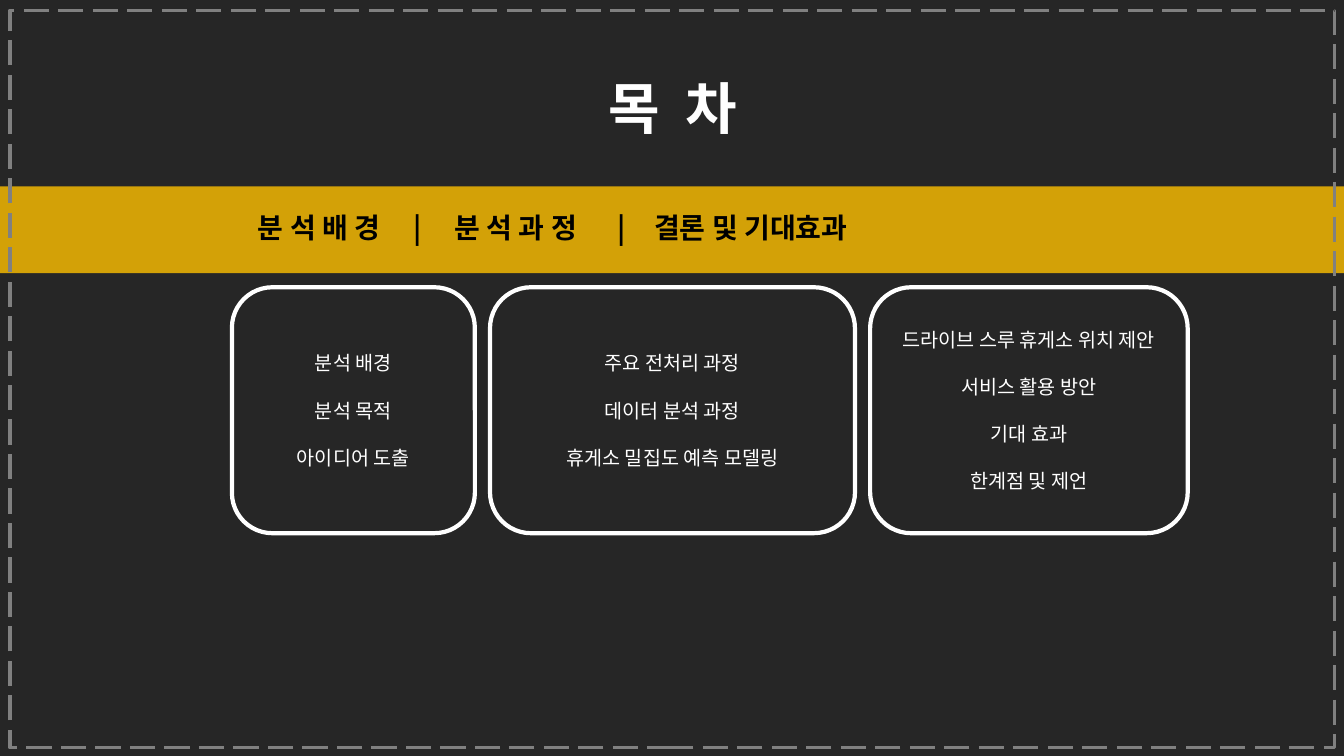
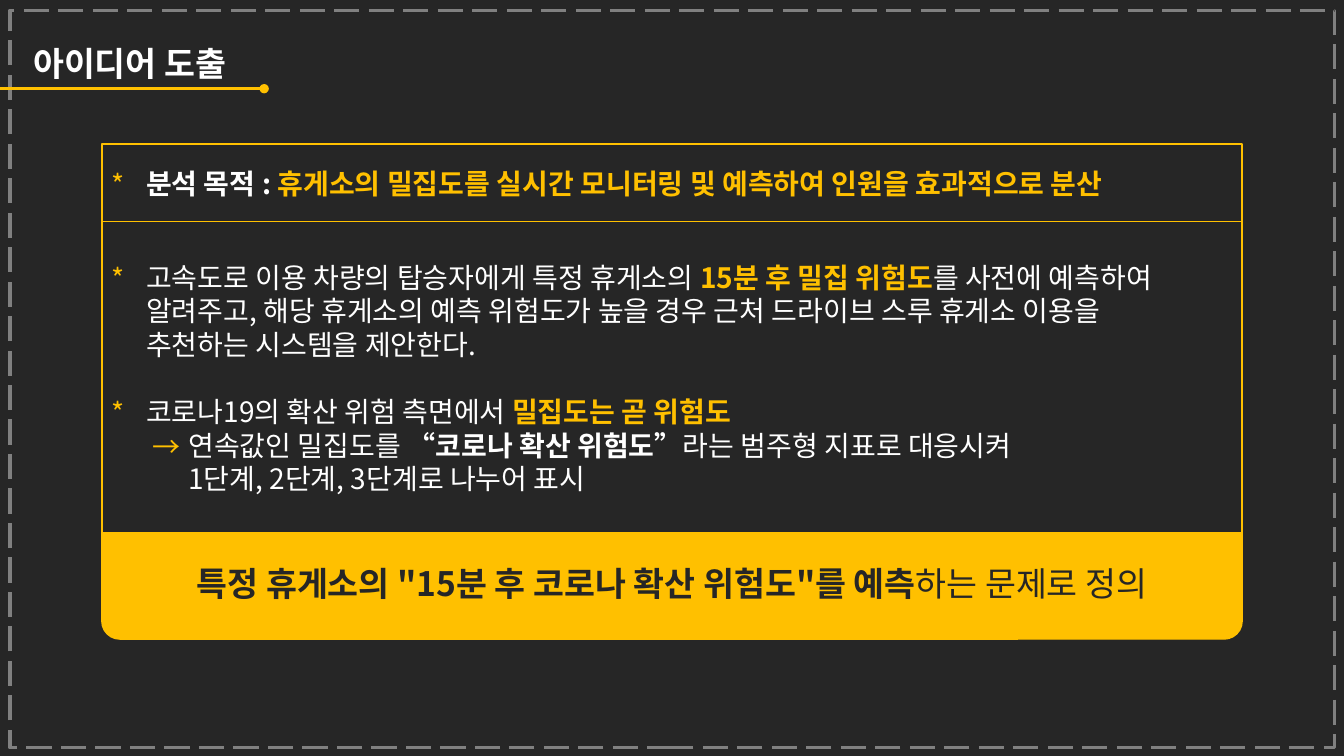
from lxml import etree
from pptx import Presentation
from pptx.dml.color import RGBColor
from pptx.enum.dml import MSO_LINE
from pptx.enum.shapes import MSO_CONNECTOR, MSO_SHAPE
from pptx.enum.text import MSO_ANCHOR, PP_ALIGN
from pptx.oxml.ns import qn
from pptx.util import Inches, Pt

RECTANGLE = MSO_SHAPE.RECTANGLE
ROUNDED = MSO_SHAPE.ROUNDED_RECTANGLE
ROUND_PAIR = MSO_SHAPE.ROUND_2_SAME_RECTANGLE
STRAIGHT = MSO_CONNECTOR.STRAIGHT
LONG_DASH = MSO_LINE.LONG_DASH
MIDDLE, TOP = MSO_ANCHOR.MIDDLE, MSO_ANCHOR.TOP
LEFT, CENTER = PP_ALIGN.LEFT, PP_ALIGN.CENTER

DARK, GOLD, WHITE, BLACK, GRAY = "262626", "FFC000", "FFFFFF", "000000", "808080"
KOREAN, LATIN = "Noto Sans CJK KR", "Calibri"


def paint(fill, color):
    fill.solid()
    fill.fore_color.rgb = RGBColor.from_string(color)


def add_run(paragraph, text, size, color, bold=False, font=KOREAN):
    run = paragraph.add_run()
    run.text = text
    run.font.size = Pt(size)
    run.font.bold = bold
    run.font.name = font
    paint(run.font.fill, color)
    properties = run._r.get_or_add_rPr()
    etree.SubElement(properties, qn("a:ea"), typeface=KOREAN)
    return properties


prs = Presentation()
prs.slide_width, prs.slide_height = Inches(13.33), Inches(7.5)
paint(prs.slide_master.background.fill, DARK)
blank = prs.slide_layouts[6]
contents = prs.slides.add_slide(blank)
idea = prs.slides.add_slide(blank)

band = contents.shapes.add_shape(RECTANGLE, 0, Inches(1.85), Inches(13.33), Inches(0.86))
band.shadow.inherit = False
band.line.fill.background()
paint(band.fill, GOLD)
band_color = band.fill._xPr.find(qn("a:solidFill"))[0]
etree.SubElement(band_color, qn("a:alpha"), val="80000")

for slide in (contents, idea):
    border = slide.shapes.add_shape(RECTANGLE, Inches(0.1), Inches(0.1), Inches(13.14), Inches(7.32))
    border.shadow.inherit = False
    border.fill.background()
    paint(border.line.fill, GRAY)
    border.line.width = Pt(2.25)
    border.line.dash_style = LONG_DASH

headings = []
for slide, left, top, width, align in (
    (contents, 5.61, 0.68, 2.12, CENTER),
    (contents, 2.46, 1.85, 9.12, LEFT),
    (idea, 0.23, 0.22, 3.21, LEFT),
):
    frame = slide.shapes.add_textbox(Inches(left), Inches(top), Inches(width), Inches(0.86)).text_frame
    frame.word_wrap = True
    frame.vertical_anchor = MIDDLE
    heading = frame.paragraphs[0]
    heading.alignment = align
    heading.line_spacing = 0.9
    headings.append(heading)
contents_title, sections, idea_title = headings

add_run(contents_title, "목", 40, WHITE, True)
add_run(contents_title, " ", 40, WHITE, True).set("spc", "900")
add_run(contents_title, "차", 40, WHITE, True)
add_run(idea_title, "아이디어 도출", 24, WHITE, True)

tab_list = etree.SubElement(sections._p.get_or_add_pPr(), qn("a:tabLst"))
for stop in (1.54, 1.95, 3.57, 3.93):
    etree.SubElement(tab_list, qn("a:tab"), pos=str(Inches(stop)), algn="l")
add_run(sections, "분 석 배 경\t|\t분 석 과 정\t|\t결론 및 기대효과", 20, BLACK, True)

for left, width, topics in (
    (2.3, 2.41, ("분석 배경", "분석 목적", "아이디어 도출")),
    (4.86, 3.62, ("주요 전처리 과정", "데이터 분석 과정", "휴게소 밀집도 예측 모델링")),
    (8.63, 3.15, ("드라이브 스루 휴게소 위치 제안", "서비스 활용 방안", "기대 효과", "한계점 및 제언")),
):
    topic_box = contents.shapes.add_shape(ROUNDED, Inches(left), Inches(2.85), Inches(width), Inches(2.44))
    topic_box.shadow.inherit = False
    topic_box.fill.background()
    paint(topic_box.line.fill, WHITE)
    topic_box.line.width = Pt(3)
    frame = topic_box.text_frame
    frame.word_wrap = True
    frame.vertical_anchor = MIDDLE
    for index, topic in enumerate(topics):
        paragraph = frame.paragraphs[0] if index == 0 else frame.add_paragraph()
        paragraph.alignment = CENTER
        paragraph.line_spacing = Pt(16.8)
        if index:
            paragraph.space_before = Pt(16.8)
        add_run(paragraph, topic, 14, WHITE, font=LATIN)

underline = idea.shapes.add_connector(STRAIGHT, Inches(2.62), Inches(0.88), 0, Inches(0.88))
paint(underline.line.fill, GOLD)
underline.line.width = Pt(2.25)
etree.SubElement(underline.line._get_or_add_ln(), qn("a:headEnd"), type="oval")
etree.SubElement(underline._element.spPr, qn("a:effectLst"))

panels = []
for kind, top, height, fill, anchor in (
    (RECTANGLE, 2.19, 3.1, DARK, TOP),
    (ROUND_PAIR, 5.29, 1.05, GOLD, MIDDLE),
    (RECTANGLE, 1.43, 0.77, DARK, MIDDLE),
):
    panel = idea.shapes.add_shape(kind, Inches(1.01), Inches(top), Inches(11.31), Inches(height))
    panel.shadow.inherit = False
    paint(panel.fill, fill)
    paint(panel.line.fill, GOLD)
    panel.line.width = Pt(1)
    panel.text_frame.word_wrap = True
    panel.text_frame.vertical_anchor = anchor
    panels.append(panel)
proposal, conclusion, purpose = panels
proposal.text_frame.margin_top = Inches(0.39)
conclusion.adjustments[0] = 0
conclusion.adjustments[1] = 0.17

problem = conclusion.text_frame.paragraphs[0]
problem.alignment = CENTER
add_run(problem, '특정 휴게소의 "15분 후 코로나 확산 위험도"를 예측', 24, DARK, True)
add_run(problem, "하는 문제로 정의", 24, DARK)

first_point = proposal.text_frame.paragraphs[0]
second_point = proposal.text_frame.add_paragraph()
second_point.space_before = Pt(24)
sub_point = proposal.text_frame.add_paragraph()

for paragraph, bullet, margin, hang, lines in (
    (purpose.text_frame.paragraphs[0], "*", 0.34, 0.34, (
        (("분석 목적 : ", WHITE, True),
         ("휴게소의 밀집도를 실시간 모니터링 및 예측하여 인원을 효과적으로 분산", GOLD, True)),
    )),
    (first_point, "*", 0.34, 0.34, (
        (("고속도로 이용 차량의 탑승자에게 특정 휴게소의 ", WHITE, False),
         ("15분 후 밀집 위험도", GOLD, True),
         ("를 사전에 예측하여", WHITE, False)),
        (("알려주고, 해당 휴게소의 예측 위험도가 높을 경우 근처 드라이브 스루 휴게소 이용을", WHITE, False),),
        (("추천하는 시스템을 제안한다.", WHITE, False),),
    )),
    (second_point, "*", 0.34, 0.34, (
        (("코로나19의 확산 위험 측면에서 ", WHITE, False),
         ("밀집도는 곧 위험도", GOLD, True)),
    )),
    (sub_point, "→", 0.76, 0.36, (
        (("연속값인 밀집도를 ", WHITE, False),
         ("“코로나 확산 위험도”", WHITE, True),
         ("라는 범주형 지표로 대응시켜", WHITE, False)),
        (("1단계, 2단계, 3단계로 나누어 표시", WHITE, False),),
    )),
):
    properties = paragraph._p.get_or_add_pPr()
    properties.set("marL", str(Inches(margin)))
    properties.set("indent", str(-Inches(hang)))
    bullet_color = etree.SubElement(properties, qn("a:buClr"))
    etree.SubElement(bullet_color, qn("a:srgbClr"), val=GOLD)
    etree.SubElement(properties, qn("a:buFont"), typeface=KOREAN)
    etree.SubElement(properties, qn("a:buChar"), char=bullet)
    paragraph.alignment = LEFT
    paragraph.line_spacing = Pt(24)
    for index, line in enumerate(lines):
        if index:
            paragraph.add_line_break()
        for text, color, bold in line:
            add_run(paragraph, text, 20, color, bold)

prs.save("out.pptx")
